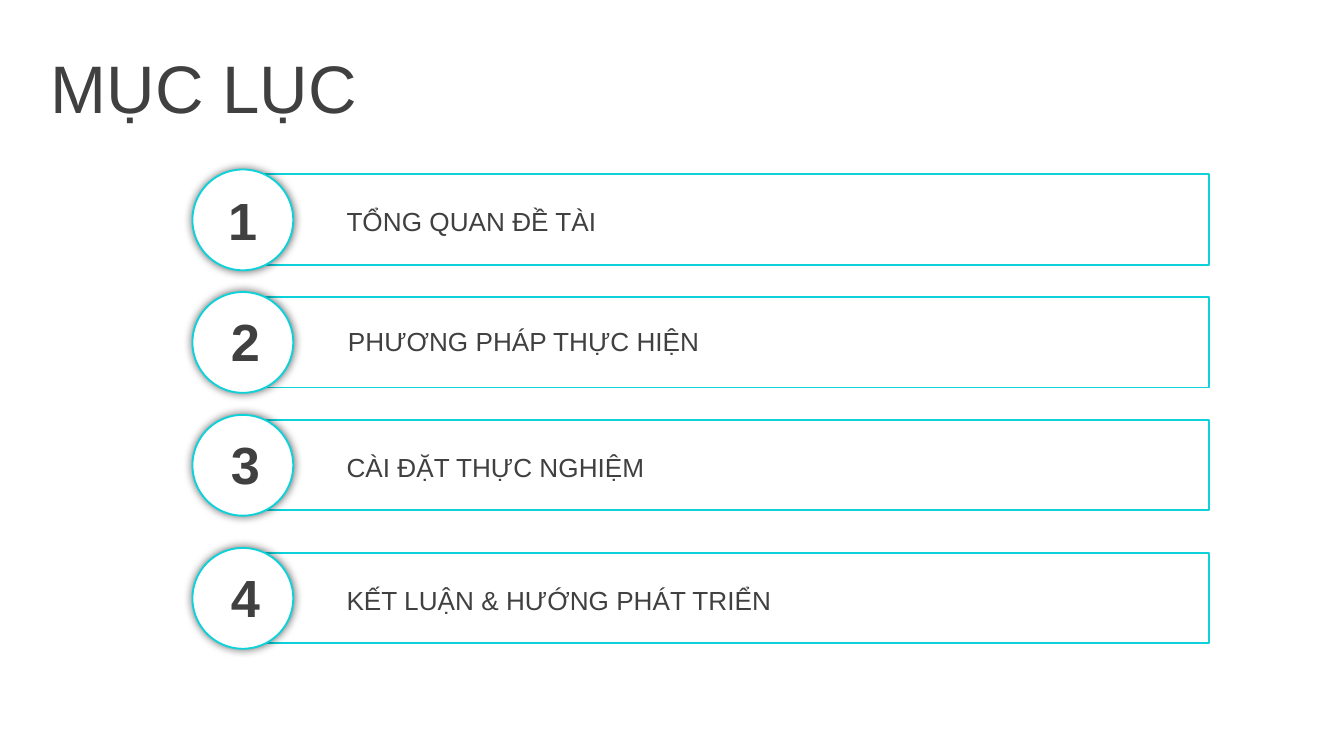
from lxml import etree
from pptx import Presentation
from pptx import util as u
from pptx.dml.color import RGBColor
from pptx.enum import shapes, text
from pptx.oxml import ns

COLORS = {"ink": "404040", "accent": "0DD2D9", "paper": "FFFFFF", "shadow": "000000"}

deck = Presentation()
deck.slide_width = u.Inches(10)
deck.slide_height = deck.slide_width * 9 // 16
page = deck.slides.add_slide(deck.slide_layouts[6])
column = deck.slide_width / 100
row = deck.slide_height / 56.25


def add_text(words, left, top, width, height, size, bold=False, align=text.PP_ALIGN.LEFT):
    box = page.shapes.add_textbox(*map(round, (left * column, top * row, width * column, height * row)))
    frame = box.text_frame
    frame.word_wrap = True
    frame.vertical_anchor = text.MSO_ANCHOR.MIDDLE
    para = frame.paragraphs[0]
    para.text = words
    para.alignment = align
    para.font.name = "Arial"
    para.font.size = u.Pt(size)
    para.font.bold = bold
    para.font.color.rgb = RGBColor.from_string(COLORS["ink"])


def add_outline(kind, left, top, width, height):
    shape = page.shapes.add_shape(kind, *map(round, (left * column, top * row, width * column, height * row)))
    shape.shadow.inherit = False
    shape.fill.background()
    shape.line.color.rgb = RGBColor.from_string(COLORS["accent"])
    shape.line.width = u.Pt(1)
    return shape


add_text("MỤC LỤC", 2.8, 3.3, 91.7, 6.3, 36)

chapters = [
    ("TỔNG QUAN ĐỀ TÀI", 12.98, 24.8, 1.75, 15.7, 0.5),
    ("PHƯƠNG PHÁP THỰC HIỆN", 22.1, 24.9, 1.6, 15.9, 0.4),
    ("CÀI ĐẶT THỰC NGHIỆM", 31.24, 24.8, 1.8, 15.9, 0.4),
    ("KẾT LUẬN & HƯỚNG PHÁT TRIỂN", 41.14, 24.8, 1.8, 15.9, 0.4),
]

for number, (title, top, title_left, title_drop, number_left, number_drop) in enumerate(chapters, 1):
    add_outline(shapes.MSO_SHAPE.RECTANGLE, 18.1, top, 71.85, 6.74)
    add_text(title, title_left, top + title_drop, 62.8, 3.4, 14)

    badge = add_outline(shapes.MSO_SHAPE.OVAL, 14.32, top - 0.37, 7.5, 7.5)
    badge.fill.solid()
    badge.fill.fore_color.rgb = RGBColor.from_string(COLORS["paper"])
    effects = badge.element.spPr.find(ns.qn("a:effectLst"))
    glow = etree.SubElement(effects, ns.qn("a:outerShdw"), blurRad=str(u.Pt(5)), dist="0", dir="0")
    tint = etree.SubElement(glow, ns.qn("a:srgbClr"), val=COLORS["shadow"])
    etree.SubElement(tint, ns.qn("a:alpha"), val="60000")

    add_text(str(number), number_left, top + number_drop, 4.7, 5.7, 28, True, text.PP_ALIGN.CENTER)

deck.save("out.pptx")
